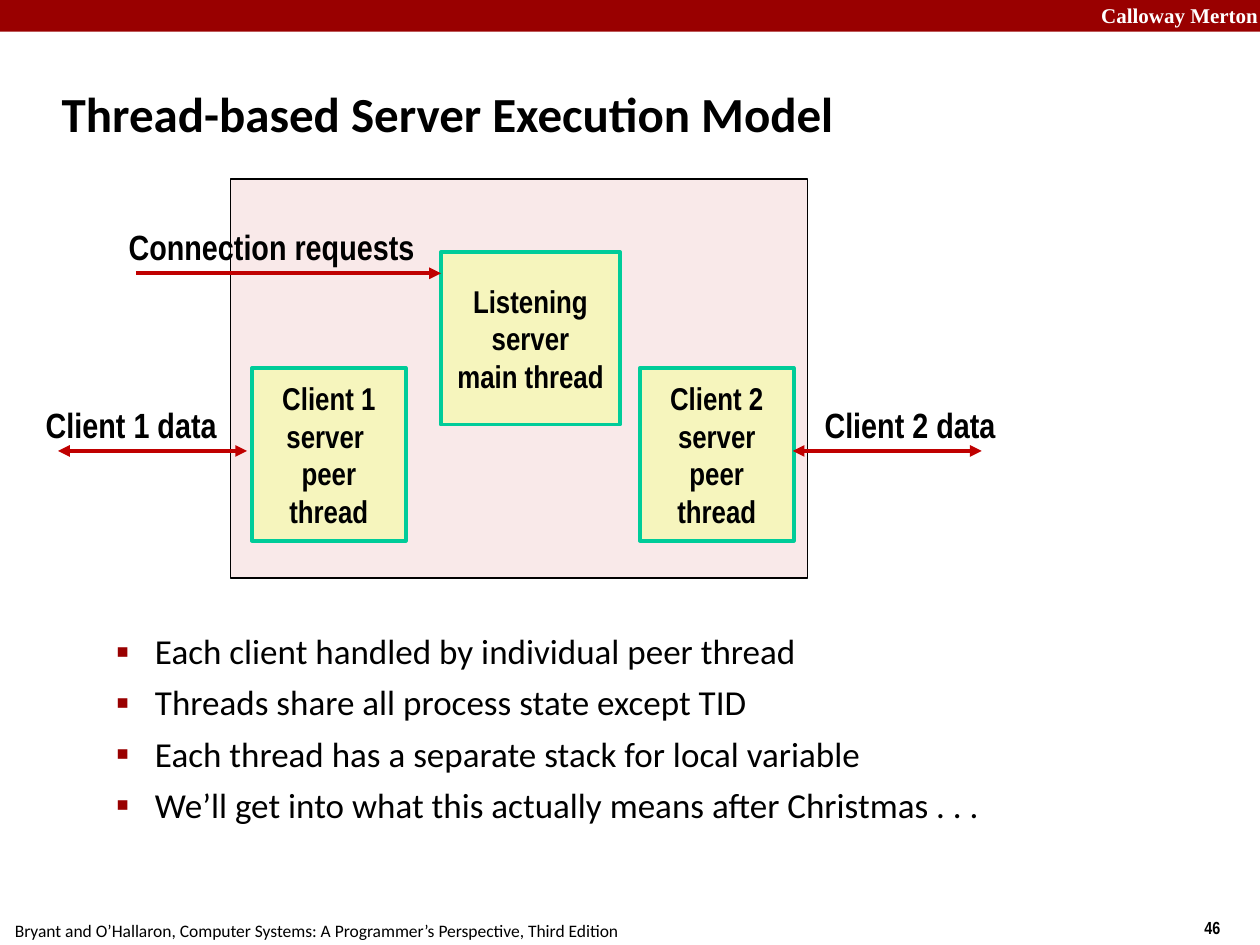
from dataclasses import dataclass

from lxml.etree import SubElement
from pptx import Presentation
from pptx.dml.color import RGBColor
from pptx.enum.shapes import MSO_CONNECTOR, MSO_SHAPE
from pptx.enum.text import MSO_ANCHOR, MSO_AUTO_SIZE, PP_ALIGN
from pptx.oxml.ns import qn
from pptx.util import Cm, Pt

# Content
TITLE = "Thread-based Server Execution Model"
POINTS = [
    "Each client handled by individual peer thread",
    "Threads share all process state except TID",
    "Each thread has a separate stack for local variable",
    "We’ll get into what this actually means after Christmas . . .",
]
UNIVERSITY = "Calloway Merton"
CITATION = ("Bryant and O’Hallaron, Computer Systems: "
            "A Programmer’s Perspective, Third Edition")
PAGE = "46"

# Threads: lines, left, top, width (cm)
THREADS = [
    (["Client 1", "server ", "peer", "thread"], 5.08, 7.42, 3.1),
    (["Client 2", "server", "peer", "thread"], 12.9, 7.42, 3.1),
    (["Listening", "server", "main thread"], 8.89, 5.08, 3.61),
]
THREAD_HEIGHT = 3.48

# Flows: label, label left, label width, arrow start, arrow end, arrow y, two-way (cm)
FLOWS = [
    ("Connection requests", 2.34, 6.27, 2.74, 8.89, 5.51, False),
    ("Client 1 data", 0.66, 3.96, 1.17, 4.98, 9.09, True),
    ("Client 2 data", 16.36, 3.96, 19.79, 15.98, 9.09, True),
]
LABEL_HEIGHT = 1.09


@dataclass(frozen=True)
class Theme:
    sans: str = "Calibri"
    narrow: str = "Arial Narrow"
    serif: str = "Times New Roman"
    ink: str = "000000"
    paper: str = "FFFFFF"
    brand: str = "990000"
    arrow: str = "C00000"
    process: str = "F1C7C7"
    thread: str = "F6F5BD"
    thread_edge: str = "00CC99"
    title_size: float = 28
    body_size: float = 20
    thread_size: float = 18
    header_size: float = 12
    footer_size: float = 10
    stroke: float = 2.25


THEME = Theme()


def rgb(value):
    return RGBColor.from_string(value)


def write(shape, lines, *, font=THEME.sans, size=THEME.body_size, color=THEME.ink,
          bold=False, align=PP_ALIGN.LEFT, anchor=MSO_ANCHOR.TOP, wrap=False,
          level=0, before=0):
    frame = shape.text_frame
    frame.auto_size = MSO_AUTO_SIZE.NONE
    frame.word_wrap = wrap
    frame.vertical_anchor = anchor
    for index, line in enumerate(lines):
        paragraph = frame.add_paragraph() if index else frame.paragraphs[0]
        paragraph.level = level
        paragraph.alignment = align
        paragraph.space_before = Pt(before)
        run = paragraph.add_run()
        run.text = line
        run.font.name = font
        run.font.size = Pt(size)
        run.font.bold = bold
        run.font.color.rgb = rgb(color)
    return frame.paragraphs


def place(shape, left, top, width, height):
    shape.left, shape.top = Cm(left), Cm(top)
    shape.width, shape.height = Cm(width), Cm(height)
    return shape


def add_box(slide, area, fill, edge=None, weight=1):
    box = slide.shapes.add_shape(MSO_SHAPE.RECTANGLE, *map(Cm, area))
    box.shadow.inherit = False
    box.fill.solid()
    box.fill.fore_color.rgb = rgb(fill)
    if edge:
        box.line.color.rgb = rgb(edge)
        box.line.width = Pt(weight)
    else:
        box.line.fill.background()
    return box


def add_label(slide, text, area, **style):
    write(slide.shapes.add_textbox(*map(Cm, area)), [text], **style)


def add_arrow(slide, start, end, y, two_way):
    arrow = slide.shapes.add_connector(
        MSO_CONNECTOR.STRAIGHT, Cm(start), Cm(y), Cm(end), Cm(y))
    arrow.line.color.rgb = rgb(THEME.arrow)
    arrow.line.width = Pt(THEME.stroke)
    properties = arrow.element.spPr
    line = properties.find(qn("a:ln"))
    for tip in ("a:headEnd", "a:tailEnd") if two_way else ("a:tailEnd",):
        SubElement(line, qn(tip), type="triangle")
    SubElement(properties, qn("a:effectLst"))


def indent(paragraph, left, first):
    properties = paragraph._p.get_or_add_pPr()
    properties.set("marL", str(Cm(left)))
    properties.set("indent", str(Cm(first)))
    return properties


def add_bullet(paragraph):
    properties = indent(paragraph, 2.06, -0.79)
    bullet_color = SubElement(properties, qn("a:buClr"))
    SubElement(bullet_color, qn("a:srgbClr"), val=THEME.brand)
    SubElement(properties, qn("a:buSzPct"), val="110000")
    SubElement(properties, qn("a:buChar"), char="▪")


def main():
    deck = Presentation()
    deck.slide_width, deck.slide_height = Cm(25.4), Cm(19.05)
    slide = deck.slides.add_slide(deck.slide_layouts[1])

    # Header and footer
    add_box(slide, (0, 0, 25.4, 0.64), THEME.brand)
    add_label(slide, UNIVERSITY, (21.95, -0.08, 3.63, 0.76), font=THEME.serif,
              size=THEME.header_size, color=THEME.paper, bold=True)
    add_label(slide, PAGE, (24.03, 18.36, 1.9, 0.69), font=THEME.narrow,
              size=THEME.footer_size, bold=True)
    add_label(slide, CITATION, (0.05, 18.42, 12.73, 0.69), size=THEME.footer_size)

    # Title and points
    title = place(slide.shapes.title, 0.99, 1.22, 21.08, 2.11)
    heading = write(title, [TITLE], size=THEME.title_size, bold=True,
                    anchor=MSO_ANCHOR.MIDDLE, wrap=True)
    indent(heading[0], 0.33, -0.33)
    body = place(slide.placeholders[1], 0.81, 12.57, 23.06, 5.61)
    for point in write(body, POINTS, wrap=True, level=1, before=5.2):
        add_bullet(point)

    # Server process, translucent
    process = add_box(slide, (4.65, 3.61, 11.63, 8.05), THEME.process, THEME.ink)
    tint = process.element.spPr.find(qn("a:solidFill")).find(qn("a:srgbClr"))
    SubElement(tint, qn("a:alpha"), val="38000")

    # Threads
    for lines, left, top, width in THREADS:
        thread = add_box(slide, (left, top, width, THREAD_HEIGHT),
                         THEME.thread, THEME.thread_edge, THEME.stroke)
        write(thread, lines, font=THEME.narrow, size=THEME.thread_size, bold=True,
              align=PP_ALIGN.CENTER, anchor=MSO_ANCHOR.MIDDLE)

    # Data flows, each label resting on its arrow
    for label, left, width, start, end, y, two_way in FLOWS:
        add_arrow(slide, start, end, y, two_way)
        add_label(slide, label, (left, y - LABEL_HEIGHT, width, LABEL_HEIGHT),
                  font=THEME.narrow, bold=True, align=PP_ALIGN.RIGHT)

    deck.save("out.pptx")


if __name__ == "__main__":
    main()
